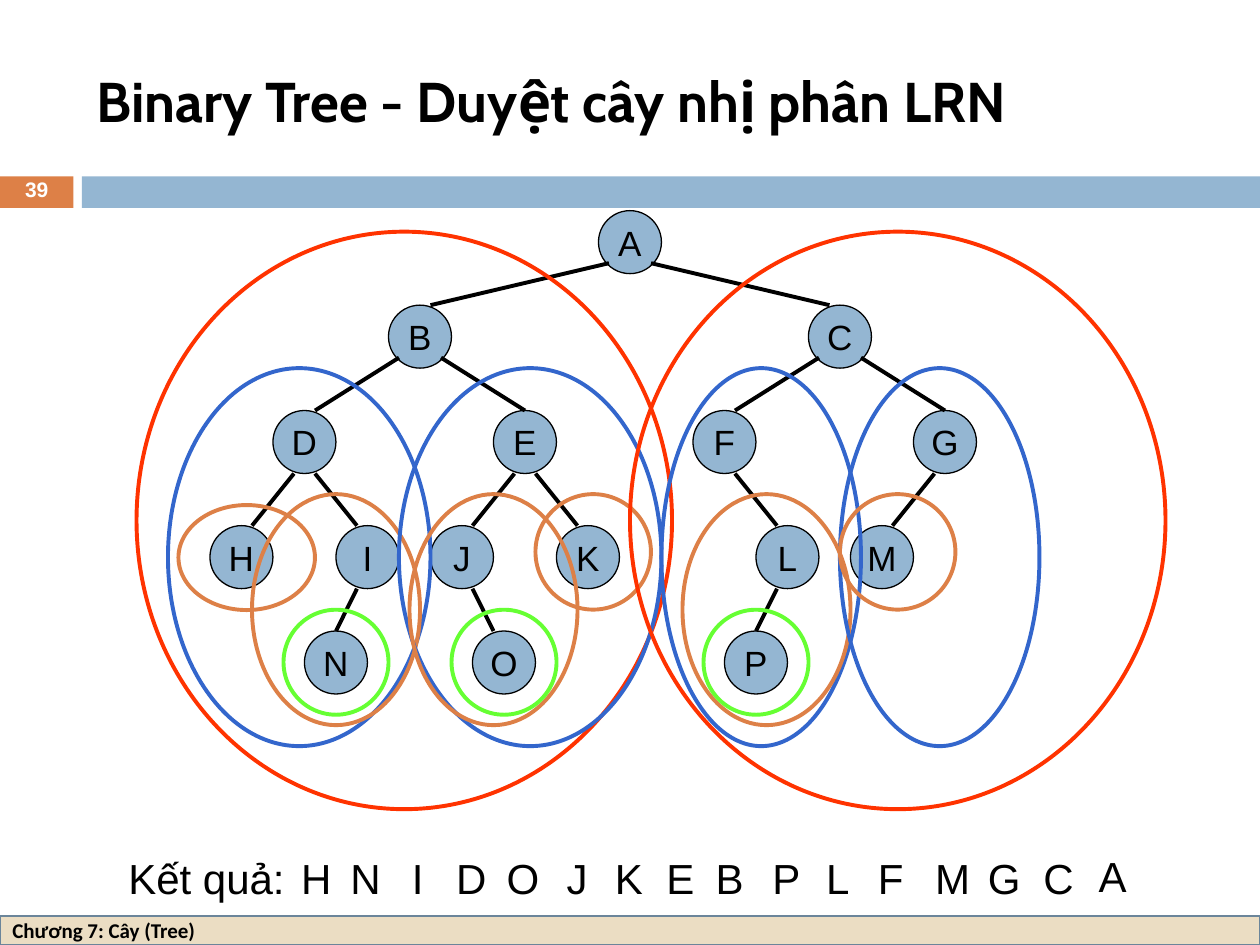
from typing import NamedTuple

from lxml.etree import SubElement
from pptx import Presentation
from pptx.dml.color import RGBColor
from pptx.enum.shapes import MSO_CONNECTOR, MSO_SHAPE
from pptx.enum.text import MSO_ANCHOR, MSO_AUTO_SIZE, PP_ALIGN
from pptx.oxml.ns import qn
from pptx.util import Pt

BLACK = RGBColor(0x00, 0x00, 0x00)
WHITE = RGBColor(0xFF, 0xFF, 0xFF)
STEEL_BLUE = RGBColor(0x94, 0xB6, 0xD2)
SLATE = RGBColor(0x6B, 0x85, 0x9A)
ORANGE = RGBColor(0xDD, 0x80, 0x47)
SAND = RGBColor(0xEB, 0xDD, 0xC3)
RED = RGBColor(0xFF, 0x33, 0x00)
BLUE = RGBColor(0x33, 0x66, 0xCC)
GREEN = RGBColor(0x66, 0xFF, 0x33)

NODE_SIZE = 36
THICK_LINE = 2.24
LEVEL_TOPS = [120.4, 174.4, 234.6, 300.4, 360.6]


class Node(NamedTuple):
    letter: str
    parent: str
    level: int
    left: float
    entry: float  # where the edge from the parent arrives, from the left side


TREE = [
    Node("A", "", 0, 342, 0),
    Node("B", "A", 1, 222, 24),
    Node("C", "A", 1, 462, 12),
    Node("D", "B", 2, 156, 24),
    Node("E", "B", 2, 282, 18),
    Node("F", "C", 2, 396, 24),
    Node("G", "C", 2, 522, 18),
    Node("H", "D", 3, 120, 24),
    Node("I", "D", 3, 192, 12),
    Node("J", "E", 3, 246, 24),
    Node("K", "E", 3, 318, 12),
    Node("L", "F", 3, 432, 12),
    Node("M", "G", 3, 486, 24),
    Node("N", "I", 4, 174, 18),
    Node("O", "J", 4, 270, 12),
    Node("P", "L", 4, 414, 18),
]

# Subtree rings: colour, left, top, width, height
RINGS = [
    (RED, 78, 132.4, 306, 330),
    (BLUE, 96, 210.4, 150, 216),
    (ORANGE, 102, 288.6, 78, 60),
    (ORANGE, 144, 282.4, 96, 132),
    (GREEN, 162, 348.4, 60, 60),
    (BLUE, 228, 210.4, 150, 216),
    (ORANGE, 234, 282.4, 96, 132),
    (GREEN, 258, 348.4, 60, 60),
    (ORANGE, 306, 282.4, 66, 66),
    (RED, 360, 132.4, 306, 330),
    (BLUE, 378, 210.4, 114, 216),
    (ORANGE, 390, 282.4, 96, 132),
    (GREEN, 402, 348.4, 60, 60),
    (BLUE, 480, 210.4, 114, 216),
    (ORANGE, 480, 282.4, 66, 66),
]

# Traversal result: text, centre
RESULT = [
    ("Kết quả:", 118), ("H", 180.7), ("N", 208.8), ("I", 238.7), ("D", 269.3),
    ("O", 298.8), ("J", 329.8), ("K", 359.3), ("E", 388.8), ("B", 416.9),
    ("P", 449.3), ("L", 478.8), ("F", 509), ("M", 544.3), ("G", 573.8),
    ("C", 604.8), ("A", 635.8),
]


def set_text(shape, text, size, font="Arial", color=BLACK, bold=False,
             align=PP_ALIGN.CENTER, anchor=MSO_ANCHOR.MIDDLE, wrap=False):
    frame = shape.text_frame
    frame.text = text
    frame.word_wrap = wrap
    frame.auto_size = MSO_AUTO_SIZE.NONE
    frame.vertical_anchor = anchor
    paragraph = frame.paragraphs[0]
    paragraph.alignment = align
    run_font = paragraph.runs[0].font
    run_font.name, run_font.size, run_font.bold = font, Pt(size), bold
    run_font.color.rgb = color


def add_figure(slide, kind, left, top, width, height, fill=None, line=None,
               line_width=0.74):
    shape = slide.shapes.add_shape(kind, Pt(left), Pt(top), Pt(width), Pt(height))
    shape.shadow.inherit = False
    if fill is None:
        shape.fill.background()
    else:
        shape.fill.solid()
        shape.fill.fore_color.rgb = fill
    if line is None:
        shape.line.fill.background()
    else:
        shape.line.color.rgb = line
        shape.line.width = Pt(line_width)
    return shape


def add_label(slide, text, left, top, width, height, size, **style):
    box = slide.shapes.add_textbox(Pt(left), Pt(top), Pt(width), Pt(height))
    set_text(box, text, size, **style)
    return box


def add_node(slide, node):
    circle = add_figure(slide, MSO_SHAPE.OVAL, node.left, LEVEL_TOPS[node.level],
                        NODE_SIZE, NODE_SIZE, STEEL_BLUE, BLACK)
    set_text(circle, node.letter, 20)


def add_edge(slide, parent, child):
    # The two upper levels leave from the flanks, the others from the bottom
    inset, drop = (6, 30) if parent.level < 2 else (12, NODE_SIZE)
    # A child on the right leaves from the mirrored point
    start = inset if child.left < parent.left else NODE_SIZE - inset
    edge = slide.shapes.add_connector(
        MSO_CONNECTOR.STRAIGHT,
        Pt(parent.left + start), Pt(LEVEL_TOPS[parent.level] + drop),
        Pt(child.left + child.entry), Pt(LEVEL_TOPS[child.level]))
    edge.line.color.rgb = BLACK
    edge.line.width = Pt(THICK_LINE)
    SubElement(edge._element.spPr, qn("a:effectLst"))


def add_frame(slide):
    # Header bars, footer, title and slide number
    add_figure(slide, MSO_SHAPE.RECTANGLE, 0, 100.8, 42, 18, ORANGE)
    add_figure(slide, MSO_SHAPE.RECTANGLE, 46.8, 100.8, 673.2, 18, STEEL_BLUE)
    footer = add_figure(slide, MSO_SHAPE.RECTANGLE, 0, 523.5, 720, 16.5,
                        SAND, SLATE, 1.5)
    set_text(footer, "Chương 7: Cây (Tree)", 12, "Calibri", bold=True,
             align=PP_ALIGN.LEFT)
    title = slide.shapes.title
    title.left, title.top, title.width, title.height = Pt(48), Pt(18), Pt(642), Pt(78)
    set_text(title, "Binary Tree - Duyệt cây nhị phân LRN", 32, "Cabin",
             bold=True, align=PP_ALIGN.LEFT, wrap=True)
    number = add_label(slide, "39", 0, 100, 42, 19.4, 12, color=WHITE, bold=True)
    number.text_frame.paragraphs[0].line_spacing = 0.8


def add_tree(slide):
    nodes = {node.letter: node for node in TREE}
    for node in TREE:
        add_node(slide, node)
    for node in TREE[1:]:
        add_edge(slide, nodes[node.parent], node)
    for color, left, top, width, height in RINGS:
        add_figure(slide, MSO_SHAPE.OVAL, left, top, width, height,
                   line=color, line_width=THICK_LINE)


def add_result(slide):
    for text, center in RESULT:
        width = 32 if len(text) == 1 else 104
        top = 482.4 if text == "A" else 483.8
        add_label(slide, text, center - width / 2, top, width, 36, 24,
                  anchor=MSO_ANCHOR.TOP)


def main():
    presentation = Presentation()
    presentation.slide_width, presentation.slide_height = Pt(720), Pt(540)
    slide = presentation.slides.add_slide(presentation.slide_layouts[5])
    add_frame(slide)
    add_tree(slide)
    add_result(slide)
    presentation.save("out.pptx")


main()
